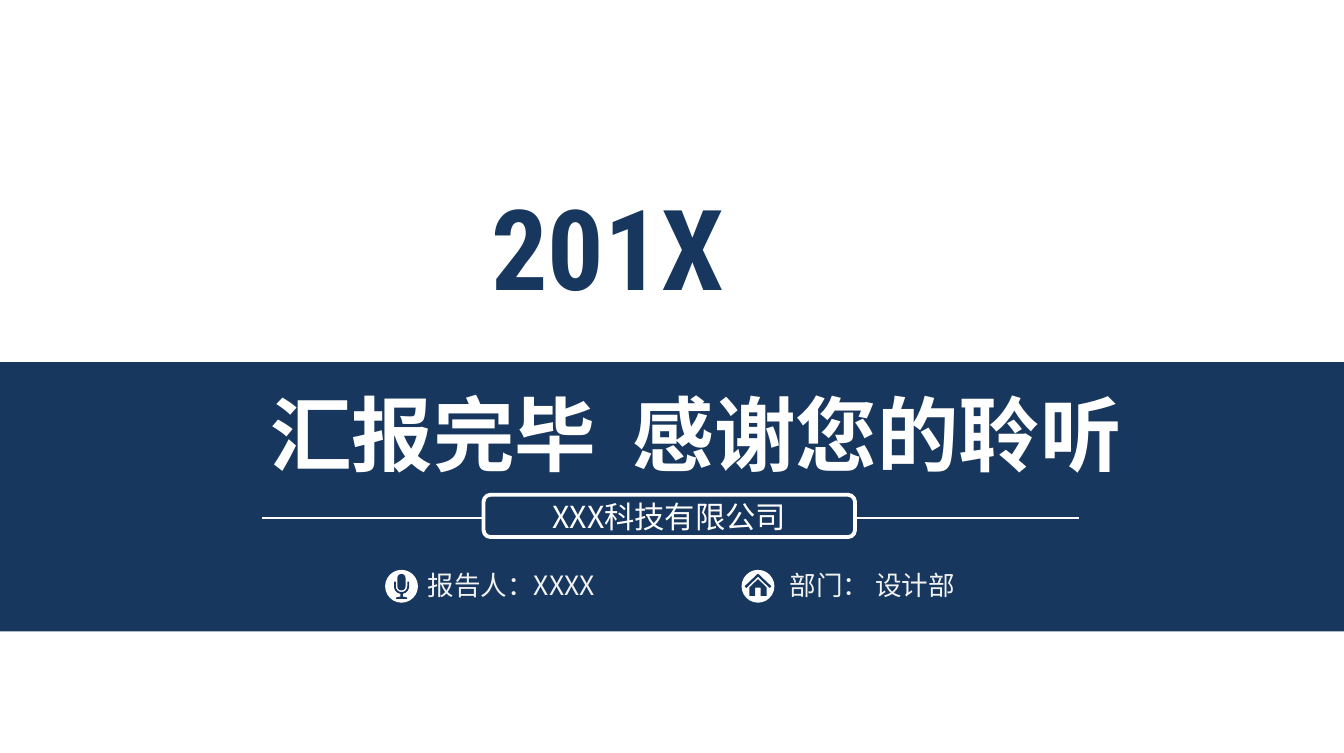
from dataclasses import dataclass
from math import cos, pi, sin

from lxml import etree
from pptx import Presentation
from pptx.dml.color import RGBColor
from pptx.enum.shapes import MSO_CONNECTOR, MSO_SHAPE
from pptx.enum.text import MSO_ANCHOR, MSO_AUTO_SIZE, PP_ALIGN
from pptx.oxml.ns import qn
from pptx.util import Inches, Pt

NAVY = RGBColor(0x17, 0x37, 0x5E)
WHITE = RGBColor(0xFF, 0xFF, 0xFF)
PALE = RGBColor(0xF2, 0xF2, 0xF2)
CJK = "Noto Sans CJK SC"
ROBOTO = "Roboto Condensed"
RECT, ROUND, OVAL = MSO_SHAPE.RECTANGLE, MSO_SHAPE.ROUNDED_RECTANGLE, MSO_SHAPE.OVAL
STRAIGHT = MSO_CONNECTOR.STRAIGHT
LEFT, CENTER = PP_ALIGN.LEFT, PP_ALIGN.CENTER
MIDDLE = MSO_ANCHOR.MIDDLE
GROW = MSO_AUTO_SIZE.SHAPE_TO_FIT_TEXT
ICON_SIZE = 0.24
ICON_Y = 4.29
GLYPH_UNIT = Inches(0.001)

Box = tuple[float, float, float, float]
Points = list[tuple[float, float]]


@dataclass
class Style:
    size: float
    color: RGBColor = WHITE
    name: str = CJK
    bold: bool = False
    align: PP_ALIGN = LEFT


@dataclass
class Label:
    text: str
    box: Box
    style: Style
    wrap: bool = True
    pad_x: float = 0.1
    pad_y: float = 0.05


@dataclass
class Icon:
    center_x: float
    glyphs: list[Points]


def arc(radius: float, start: float, end: float, steps: int = 16) -> Points:
    angles = [start + (end - start) * i / steps for i in range(steps + 1)]
    return [(radius * cos(a), radius * sin(a)) for a in angles]


def paint(sp, fill: RGBColor) -> None:
    sp.shadow.inherit = False
    sp.fill.solid()
    sp.fill.fore_color.rgb = fill
    sp.line.fill.background()


def add_block(slide, kind: MSO_SHAPE, box: Box, fill: RGBColor):
    sp = slide.shapes.add_shape(kind, *map(Inches, box))
    paint(sp, fill)
    return sp


def add_run(p, text: str, style: Style):
    r = p.add_run()
    r.text = text
    for key in ("name", "bold"):
        setattr(r.font, key, getattr(style, key))
    r.font.size = Pt(style.size)
    r.font.color.rgb = style.color
    etree.SubElement(r.font._element, qn("a:ea"), typeface=style.name)
    return r


def add_label(slide, label: Label):
    sp = slide.shapes.add_textbox(*map(Inches, label.box))
    tf = sp.text_frame
    settings = {
        "word_wrap": label.wrap,
        "auto_size": GROW,
        "margin_left": Inches(label.pad_x),
        "margin_right": Inches(label.pad_x),
        "margin_top": Inches(label.pad_y),
        "margin_bottom": Inches(label.pad_y),
    }
    for key, value in settings.items():
        setattr(tf, key, value)
    p = tf.paragraphs[0]
    p.alignment = label.style.align
    for i, word in enumerate(label.text.split("|")):
        if i:
            gap = add_run(p, " ", label.style)
            gap.font._element.set("spc", "960")
        add_run(p, word, label.style)


def add_icon(slide, icon: Icon) -> None:
    half = ICON_SIZE / 2
    disc = (icon.center_x - half, ICON_Y - half, ICON_SIZE, ICON_SIZE)
    add_block(slide, OVAL, disc, WHITE)
    for points in icon.glyphs:
        builder = slide.shapes.build_freeform(*points[0], scale=GLYPH_UNIT)
        builder.add_line_segments(points[1:], close=True)
        paint(builder.convert_to_shape(Inches(icon.center_x), Inches(ICON_Y)), NAVY)


def add_rule(slide, x1: float, x2: float, y: float) -> None:
    line = slide.shapes.add_connector(STRAIGHT, *map(Inches, (x1, y, x2, y)))
    line.line.color.rgb = WHITE
    line.line.width = Pt(1)
    etree.SubElement(line._element.spPr, qn("a:effectLst"))


def add_company(slide, text: str) -> None:
    sp = add_block(slide, ROUND, (3.54, 3.62, 2.72, 0.31), NAVY)
    sp.line.color.rgb = WHITE
    sp.line.width = Pt(2)
    tf = sp.text_frame
    tf.vertical_anchor = MIDDLE
    p = tf.paragraphs[0]
    p.alignment = CENTER
    add_run(p, text, Style(16))


CAPSULE = [(x, y - 60) for x, y in arc(30, pi, 2 * pi)] + arc(30, 0, pi)
CRADLE = [(-55, -35), *arc(55, pi, 0), (55, -35), (42, -35), *arc(42, 0, pi), (-42, -35)]
STAND = [(-9, 50), (9, 50), (9, 75), (40, 82), (40, 92), (-40, 92), (-40, 82), (-9, 75)]
ROOF = [(0, -93), (98, 0), (85, 12), (0, -70), (-85, 12), (-98, 0)]
HOUSE = [(0, -52), (63, 8), (63, 70), (20, 70), (20, 10),
         (-20, 10), (-20, 70), (-63, 70), (-63, 8)]

ICONS = [Icon(2.94, [CAPSULE, CRADLE, STAND]), Icon(5.55, [ROOF, HOUSE])]
DETAIL = Style(14, PALE)
LABELS = [
    Label("汇报完毕|感谢您的聆听", (1.14, 2.76, 7.91, 0.82), Style(43, bold=True, align=CENTER)),
    Label("201X", (3.5, 1.26, 2.62, 1.15), Style(59, NAVY, ROBOTO, True)),
    Label("报告人：XXXX", (3.06, 4.12, 1.5, 0.31), DETAIL, False, 0.07, 0.04),
    Label("部门： 设计部", (5.71, 4.12, 1.38, 0.31), DETAIL, False, 0.07, 0.04),
]


def main() -> None:
    prs = Presentation()
    prs.slide_width, prs.slide_height = Inches(9.84), Inches(5.51)
    slide = prs.slides.add_slide(prs.slide_layouts[6])
    add_block(slide, RECT, (0, 2.65, 9.84, 1.97), NAVY)
    for label in LABELS:
        add_label(slide, label)
    for icon in ICONS:
        add_icon(slide, icon)
    add_rule(slide, 1.92, 7.9, 3.79)
    add_company(slide, "XXX科技有限公司")
    prs.save("out.pptx")


if __name__ == "__main__":
    main()
